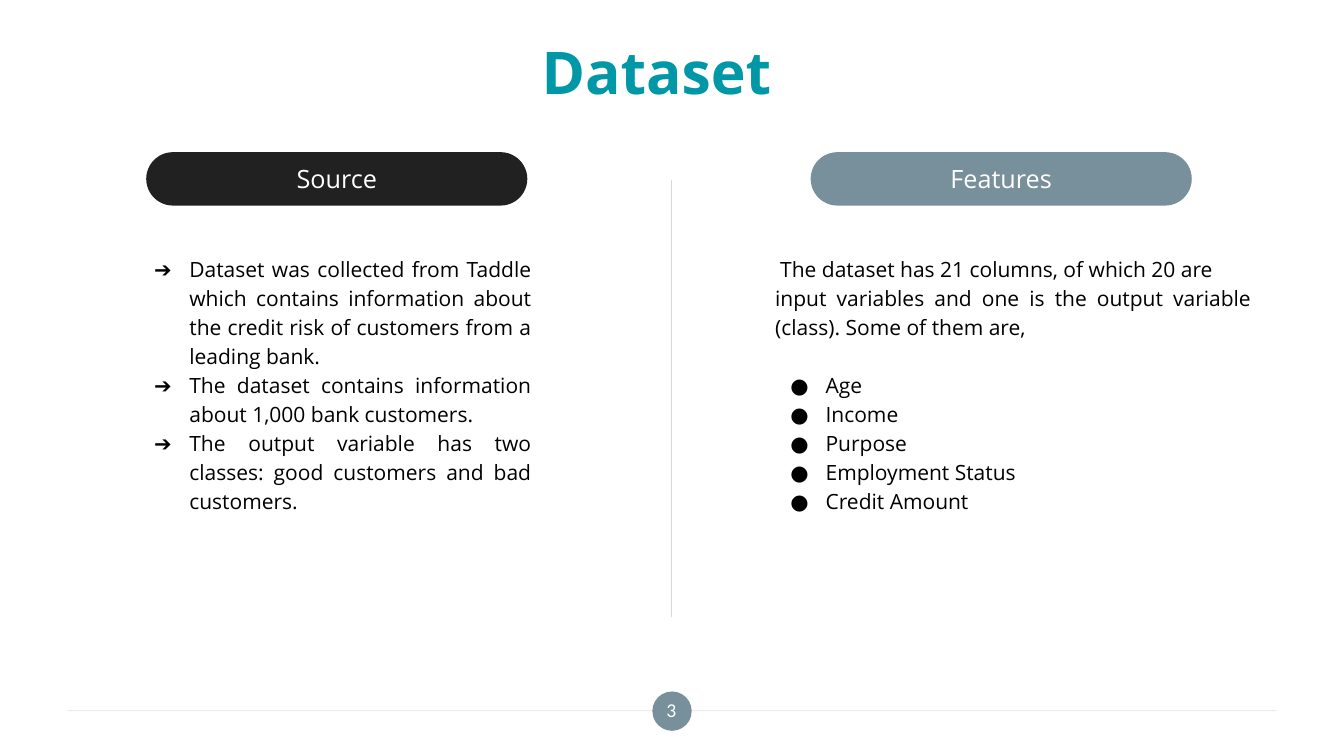
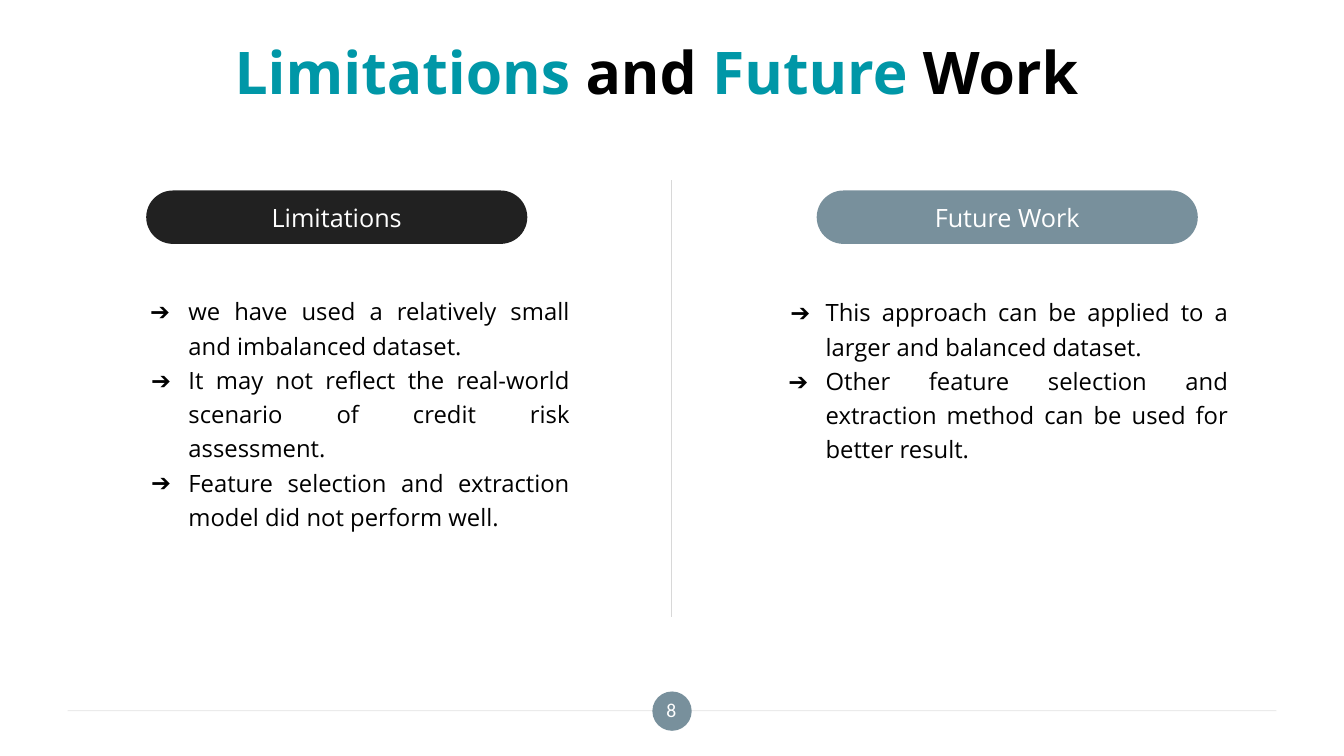
import pptx
import pptx.util
import pptx.dml.color
import pptx.enum.shapes
import pptx.enum.text
import pptx.oxml.ns
from lxml import etree

Inches, Pt = pptx.util.Inches, pptx.util.Pt
SHAPES = pptx.enum.shapes.MSO_SHAPE
ALIGN = pptx.enum.text.PP_ALIGN
ANCHOR = pptx.enum.text.MSO_ANCHOR

THEME = {
    "teal": "0097A7", "black": "000000", "dark": "212121",
    "slate": "78909C", "rule": "D8D8D8", "white": "FFFFFF",
    "font": "Open Sans", "number_font": "Calibri",
    "title_size": 42, "label_size": 18, "number_size": 14,
}
TIGHT_INSETS = (0.1, 0.05)
WIDE_INSETS = (0.13, 0.07)
LABEL_COLORS = ("dark", "slate")
TEXT_INDENT = 0.5

# A body item is (text, bullet, first-line offset, space before in points).
SLIDES = [
    {
        "number": "3",
        "title": [("Dataset", "teal")],
        "label_top": 1.51, "size": 15, "spacing": 1.15,
        "columns": [
            {"label": "Source", "label_left": 1.45, "body": (1.28, 2.46, 4.09, 2.7),
             "items": [
                 ("Dataset was collected from Taddle which contains information "
                  "about the credit risk of customers from a leading bank.", "➔", -0.35, 0),
                 ("The dataset contains information about 1,000 bank customers.",
                  "➔", -0.35, 0),
                 ("The output variable has two classes: good customers and bad "
                  "customers.", "➔", -0.35, 0),
             ]},
            {"label": "Features", "label_left": 8.04, "body": (7.59, 2.46, 4.92, 2.8),
             "items": [
                 ("The dataset has 21 columns, of which 20 are", None, 0.05, 0),
                 ("input variables and one is the output variable (class). "
                  "Some of them are,", None, 0, 0),
                 ("Age", "●", -0.35, 20.7),
                 *((name, "●", -0.35, 0) for name in
                   ("Income", "Purpose", "Employment Status", "Credit Amount")),
             ]},
        ],
    },
    {
        "number": "8",
        "title": [("Limitations ", "teal"), ("and ", "black"),
                  ("Future ", "teal"), ("Work", "black")],
        "label_top": 1.89, "size": 17, "spacing": 1.2,
        "columns": [
            {"label": "Limitations", "label_left": 1.45, "body": (1.27, 2.84, 4.48, 2.11),
             "items": [
                 ("we have used a relatively small and imbalanced dataset.",
                  "➔", -0.38, 0),
                 ("It may not reflect the real-world scenario of credit risk "
                  "assessment.", "➔", -0.37, 0),
                 ("Feature selection and extraction model did not perform well.",
                  "➔", -0.37, 0),
             ]},
            {"label": "Future Work", "label_left": 8.1, "body": (7.59, 2.85, 4.69, 2.11),
             "items": [
                 ("This approach can be applied to a larger and balanced dataset.",
                  "➔", -0.35, 0),
                 ("Other feature selection and extraction method can be used for "
                  "better result.", "➔", -0.37, 0),
             ]},
        ],
    },
]


def rgb(name):
    return pptx.dml.color.RGBColor.from_string(THEME[name])


def apply(target, values):
    for name, value in values.items():
        setattr(target, name, value)


def add_xml(parent, tag, **attributes):
    return etree.SubElement(parent, pptx.oxml.ns.qn(tag), attributes)


def add_span(para, text, size, color, font="font", bold=False):
    span = para.add_run()
    span.text = text
    apply(span.font, {"name": THEME[font], "size": Pt(size), "bold": bold})
    span.font.color.rgb = rgb(color)


def set_frame(frame, insets, anchor):
    across, down = map(Inches, insets)
    apply(frame, {"word_wrap": True, "vertical_anchor": anchor,
                  "margin_left": across, "margin_right": across,
                  "margin_top": down, "margin_bottom": down})


def add_box(page, place, insets, anchor):
    box = page.shapes.add_textbox(*map(Inches, place))
    set_frame(box.text_frame, insets, anchor)
    return box.text_frame


def add_centered(frame, spans, size, **style):
    para = frame.paragraphs[0]
    para.alignment = ALIGN.CENTER
    for text, color in spans:
        add_span(para, text, size, color, **style)


def add_filled(page, kind, place, color):
    shape = page.shapes.add_shape(kind, *map(Inches, place))
    shape.shadow.inherit = False
    shape.fill.solid()
    shape.fill.fore_color.rgb = rgb(color)
    shape.line.fill.background()
    return shape


def add_rule(page, ends, opacity=None):
    rule = page.shapes.add_connector(
        pptx.enum.shapes.MSO_CONNECTOR.STRAIGHT, *map(Inches, ends))
    rule.line.width = Pt(0.75)
    rule.line.color.rgb = rgb("rule")
    properties = rule._element.spPr
    if opacity is not None:
        color = properties.find(".//" + pptx.oxml.ns.qn("a:srgbClr"))
        add_xml(color, "a:alpha", val=str(opacity * 1000))
    add_xml(properties, "a:effectLst")


def add_frame_parts(page, title, number):
    """Draw the title, footer and centre divider that all slides share."""
    add_rule(page, (0.67, 7.05, 12.66, 7.05), opacity=50)
    add_filled(page, SHAPES.OVAL, (6.47, 6.86, 0.39, 0.39), "slate")
    heading = add_box(page, (0.51, 0.31, 12, 0.78), WIDE_INSETS, ANCHOR.MIDDLE)
    add_centered(heading, title, THEME["title_size"], bold=True)
    footer = add_box(page, (6.38, 6.83, 0.56, 0.42), WIDE_INSETS, ANCHOR.MIDDLE)
    add_centered(footer, [(number, "white")], THEME["number_size"], font="number_font")
    add_rule(page, (6.66, 1.79, 6.66, 6.12))


def add_label(page, text, left, top, color):
    pill = add_filled(page, SHAPES.ROUNDED_RECTANGLE, (left, top, 3.78, 0.53), color)
    pill.adjustments[0] = 0.5
    set_frame(pill.text_frame, TIGHT_INSETS, ANCHOR.MIDDLE)
    add_centered(pill.text_frame, [(text, "white")], THEME["label_size"])


def set_bullet(para, bullet, offset):
    """Indent the first line by offset and, if given, hang a bullet there."""
    properties = para._p.get_or_add_pPr()
    properties.set("marL", str(Inches(TEXT_INDENT if bullet else 0)))
    properties.set("indent", str(Inches(offset)))
    if bullet:
        color = add_xml(properties, "a:buClr")
        add_xml(color, "a:srgbClr", val=THEME["black"])
        add_xml(properties, "a:buFont", typeface=THEME["font"])
        add_xml(properties, "a:buChar", char=bullet)


def add_body(page, place, items, size, spacing):
    frame = add_box(page, place, TIGHT_INSETS, ANCHOR.TOP)
    for index, (text, bullet, offset, before) in enumerate(items):
        para = frame.add_paragraph() if index else frame.paragraphs[0]
        apply(para, {"alignment": ALIGN.JUSTIFY, "line_spacing": spacing,
                     "space_before": Pt(before)})
        set_bullet(para, bullet, offset)
        add_span(para, text, size, "black")


def main():
    deck = pptx.Presentation()
    apply(deck, {"slide_width": Inches(13.33), "slide_height": Inches(7.5)})
    for content in SLIDES:
        page = deck.slides.add_slide(deck.slide_layouts[6])
        add_frame_parts(page, content["title"], content["number"])
        for column, color in zip(content["columns"], LABEL_COLORS):
            add_label(page, column["label"], column["label_left"],
                      content["label_top"], color)
            add_body(page, column["body"], column["items"],
                     content["size"], content["spacing"])
    deck.save("out.pptx")


if __name__ == "__main__":
    main()
